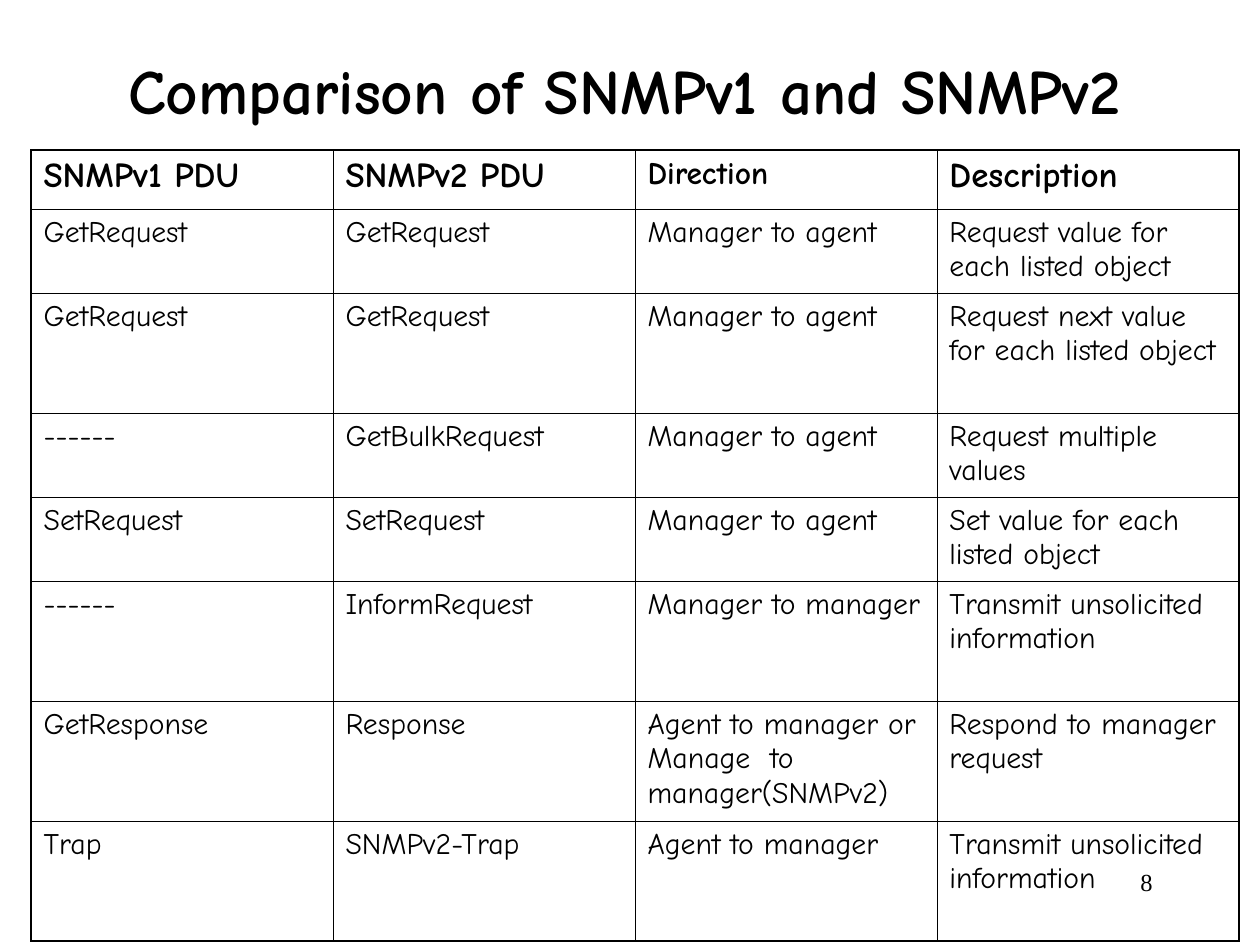
from lxml import etree
from pptx import Presentation, util as u
from pptx.dml.color import RGBColor
from pptx.enum import text as t
from pptx.oxml.ns import qn

PX = u.Inches(1) // 126
INK = "000000"
FACE = "Comic Neue"
THIN, THICK = u.Pt(0.45), u.Pt(1.08)
WIDTHS = [302] * 4
HEIGHTS = [59, 84, 120, 84, 84, 120, 120, 120]
ROWS = [
    ["SNMPv1 PDU", "SNMPv2 PDU", "Direction", "Description"],
    ["GetRequest", "GetRequest", "Manager to agent",
     "Request value for each listed object"],
    ["GetRequest", "GetRequest", "Manager to agent",
     "Request next value for each listed object"],
    ["------", "GetBulkRequest", "Manager to agent",
     "Request multiple values"],
    ["SetRequest", "SetRequest", "Manager to agent",
     "Set value for each listed object"],
    ["------", "InformRequest", "Manager to manager",
     "Transmit unsolicited information"],
    ["GetResponse", "Response",
     "Agent to manager or Manage  to manager(SNMPv2)",
     "Respond to manager request"],
    ["Trap", "SNMPv2-Trap", "Agent to manager",
     "Transmit unsolicited information"],
]


def color(code):
    return RGBColor.from_string(code)


def write(frame, words, size, face=FACE, bold=False, align=t.PP_ALIGN.LEFT):
    frame.word_wrap = True
    para = frame.paragraphs[0]
    para.text = words
    para.alignment = align
    font = para.font
    font.name, font.size, font.bold = face, u.Pt(size), bold
    font.color.rgb = color(INK)


def label(slide, box, words, size, **style):
    frame = slide.shapes.add_textbox(*(n * PX for n in box)).text_frame
    frame.vertical_anchor = t.MSO_ANCHOR.TOP
    write(frame, words, size, **style)
    return frame


def border(cell, sides):
    """Draw cell edges; sides maps L, R, T and B, in that order, to widths."""
    props = cell._tc.get_or_add_tcPr()
    for side, width in sides.items():
        line = etree.SubElement(props, qn(f"a:ln{side}"), w=str(int(width)))
        fill = etree.SubElement(line, qn("a:solidFill"))
        etree.SubElement(fill, qn("a:srgbClr"), val=INK)


def grid(slide, left, top):
    """Place the comparison table with thick outer and thin inner edges."""
    size = (sum(WIDTHS) * PX, sum(HEIGHTS) * PX)
    table = slide.shapes.add_table(
        len(ROWS), len(WIDTHS), left * PX, top * PX, *size).table
    table.first_row = table.horz_banding = False
    for col, width in zip(table.columns, WIDTHS):
        col.width = width * PX
    for row, height in zip(table.rows, HEIGHTS):
        row.height = height * PX
    for r, row in enumerate(ROWS):
        for c, words in enumerate(row):
            cell = table.cell(r, c)
            outer = {"L": c == 0, "R": c == len(WIDTHS) - 1,
                     "T": r == 0, "B": r == len(ROWS) - 1}
            border(cell, {k: THICK if out else THIN
                          for k, out in outer.items()})
            cell.fill.background()
            head = 18 if words == "Direction" else 20
            write(cell.text_frame, words, 17 if r else head, bold=r == 0)


def main():
    deck = Presentation()
    deck.slide_width, deck.slide_height = 1260 * PX, 945 * PX
    slide = deck.slides.add_slide(deck.slide_layouts[6])
    label(slide, (903, 861, 262, 63), "8", 14, face="Times New Roman",
          align=t.PP_ALIGN.RIGHT)
    title = label(slide, (31, 10, 1187, 158),
                  "Comparison of SNMPv1 and SNMPv2", 36, bold=True,
                  align=t.PP_ALIGN.CENTER)
    title.vertical_anchor = t.MSO_ANCHOR.MIDDLE
    grid(slide, 31, 150)
    deck.save("out.pptx")


if __name__ == "__main__":
    main()
